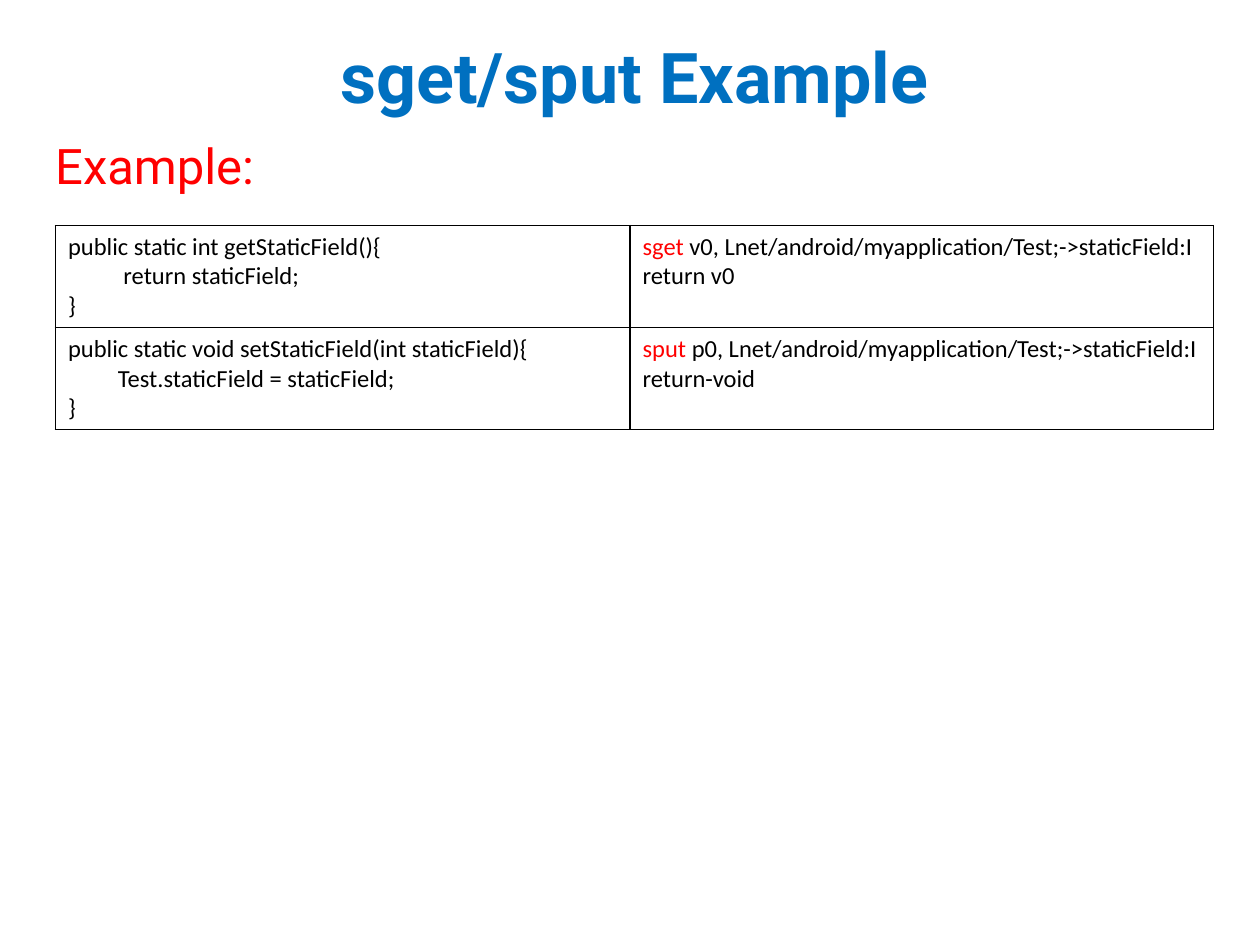
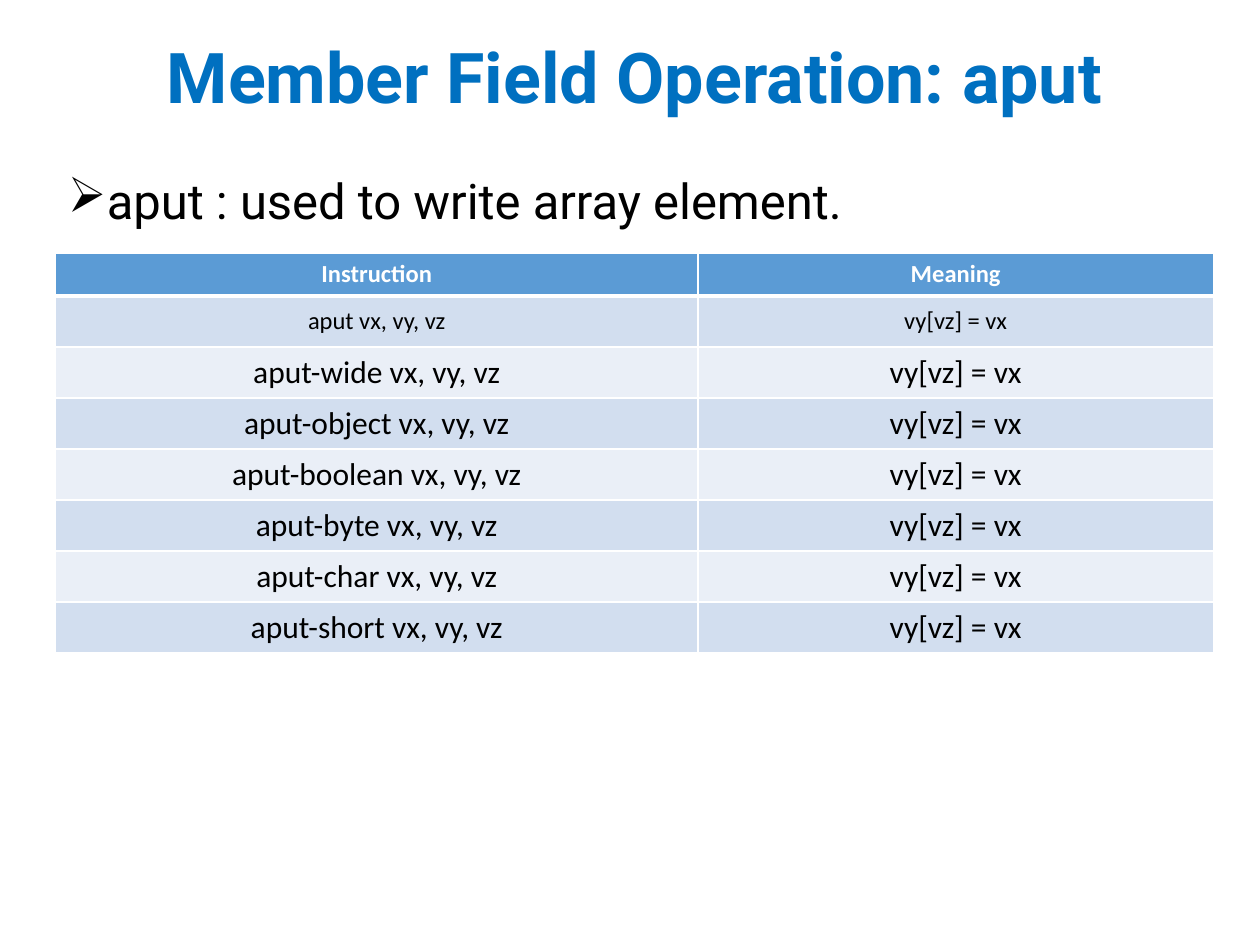
from dataclasses import dataclass

from pptx import Presentation
from pptx.dml.color import RGBColor
from pptx.enum.text import MSO_ANCHOR, MSO_AUTO_SIZE, PP_ALIGN
from pptx.oxml.ns import qn
from pptx.util import Inches, Pt
from lxml import etree

LEFT, CENTER = PP_ALIGN.LEFT, PP_ALIGN.CENTER
TOP, MIDDLE = MSO_ANCHOR.TOP, MSO_ANCHOR.MIDDLE
GROW = MSO_AUTO_SIZE.SHAPE_TO_FIT_TEXT

# Shared look
COLS, ROWS = 100, 75  # grid of tenth-inch steps
SIDE, SPAN = 4.4, 91.9  # left edge and width of the content
BLACK, WHITE, RED, BLUE = "000000", "FFFFFF", "FF0000", "0070C0"
HEAD, BANDS = "5B9BD5", ("D2DEEF", "EAEFF7")
SANS, BODY = "Roboto", "Calibri"


@dataclass(frozen=True)
class Run:
    text: str
    size: int = 14
    color: str = BLACK
    font: str = BODY
    bold: bool = False


@dataclass(frozen=True)
class Box:
    left: float
    top: float
    width: float
    height: float

    def place(self) -> tuple:
        return tuple(map(grid, (self.left, self.top, self.width, self.height)))


@dataclass(frozen=True)
class Cell:
    lines: list  # each line is a list of runs
    fill: str = ""
    align: int = LEFT
    anchor: int = TOP
    edge: str = BLACK
    base: float = 1  # width of the bottom border


def grid(steps: float) -> int:
    return Inches(steps / 10)


def rgb(code: str) -> RGBColor:
    return RGBColor.from_string(code)


def write(para, runs: list, align: int = LEFT) -> None:
    para.alignment = align
    for item in runs:
        run = para.add_run()
        run.text = item.text
        run.font.size = Pt(item.size)
        run.font.name = item.font
        run.font.bold = item.bold
        run.font.color.rgb = rgb(item.color)


def add_text(slide, box: Box, run: Run, align: int = LEFT, wrap: bool = True):
    frame = slide.shapes.add_textbox(*box.place()).text_frame
    frame.word_wrap = wrap
    write(frame.paragraphs[0], [run], align)
    return frame


def add_title(slide, text: str) -> None:
    box = Box(SIDE, 2.4, SPAN, 8.1)
    frame = add_text(slide, box, Run(text, 40, BLUE, SANS, True), CENTER)
    frame.vertical_anchor = MIDDLE
    frame.paragraphs[0].line_spacing = 0.9


def add_point(slide, box: Box, text: str) -> None:
    para = add_text(slide, box, Run(text, 28, BLACK, SANS)).paragraphs[0]
    para.line_spacing = 0.9
    props = para._p.get_or_add_pPr()
    props.set("marL", str(Inches(0.25)))
    props.set("indent", str(Inches(-0.39)))
    etree.SubElement(props, qn("a:buChar")).set("char", "➢")


def add_edge(cell, side: str, color: str, width: float) -> None:
    line = etree.SubElement(cell._tc.get_or_add_tcPr(), qn(f"a:ln{side}"))
    line.set("w", str(Pt(width)))
    fill = etree.SubElement(line, qn("a:solidFill"))
    etree.SubElement(fill, qn("a:srgbClr")).set("val", color)


def fill_cell(cell, data: Cell) -> None:
    frame = cell.text_frame
    for num, line in enumerate(data.lines):
        para = frame.add_paragraph() if num else frame.paragraphs[0]
        write(para, line, data.align)
    cell.vertical_anchor = data.anchor
    for side in "LRTB":
        add_edge(cell, side, data.edge, data.base if side == "B" else 1)
    if data.fill:
        cell.fill.solid()
        cell.fill.fore_color.rgb = rgb(data.fill)
    else:
        cell.fill.background()


def add_grid(slide, top: float, widths: list, heights: list, cells: list) -> None:
    box = Box(SIDE, top, sum(widths), sum(heights))
    table = slide.shapes.add_table(len(heights), len(widths), *box.place()).table
    table.first_row = table.horz_banding = False
    for col, width in zip(table.columns, widths):
        col.width = grid(width)
    for row, height, line in zip(table.rows, heights, cells):
        row.height = grid(height)
        for cell, data in zip(row.cells, line):
            fill_cell(cell, data)


def code_row(source: list, word: str, last: str) -> list:
    field = " v0" if word == "sget" else " p0"
    rest = f"{field}, Lnet/android/myapplication/Test;->staticField:I"
    left = Cell([[Run(text)] for text in source])
    right = Cell([[Run(word, color=RED), Run(rest)], [Run(last)]])
    return [left, right]


def head_cell(text: str) -> Cell:
    run = Run(text, color=WHITE, bold=True)
    return Cell([[run]], HEAD, CENTER, edge=WHITE, base=3)


def band_row(num: int, kind: str) -> list:
    size = 18 if num else 14
    texts = (f"aput{kind} vx, vy, vz", "vy[vz] = vx")
    return [Cell([[Run(text, size)]], BANDS[num % 2], CENTER, MIDDLE, WHITE)
            for text in texts]


def draw_static(slide) -> None:
    add_title(slide, "sget/sput Example")
    # Code beside its instructions
    getter = ["public static int getStaticField(){",
              "          return staticField;", "}"]
    setter = ["public static void setStaticField(int staticField){",
              "         Test.staticField = staticField;", "}"]
    cells = [code_row(getter, "sget", "return v0"),
             code_row(setter, "sput", "return-void")]
    add_grid(slide, 17.9, [45.6, 46.3], [8.1] * 2, cells)
    # Label above the table
    label = Run("Example:", 28, RED, SANS)
    frame = add_text(slide, Box(3.4, 10.3, 18.4, 5.7), label, wrap=False)
    frame.auto_size = GROW


def draw_aput(slide) -> None:
    add_title(slide, "Member Field Operation: aput")
    add_point(slide, Box(SIDE, 13.6, SPAN, 6.7),
              "aput : used to write array element.")
    # Instruction table with banded rows
    kinds = ["", "-wide", "-object", "-boolean", "-byte", "-char", "-short"]
    cells = [[head_cell("Instruction"), head_cell("Meaning")]]
    cells += [band_row(num, kind) for num, kind in enumerate(kinds)]
    heights = [3.4] + [4.05] * len(kinds)
    add_grid(slide, 20.1, [51, 40.9], heights, cells)


def main() -> None:
    deck = Presentation()
    deck.slide_width, deck.slide_height = grid(COLS), grid(ROWS)
    for draw in (draw_static, draw_aput):
        draw(deck.slides.add_slide(deck.slide_layouts[6]))
    deck.save("out.pptx")


if __name__ == "__main__":
    main()
